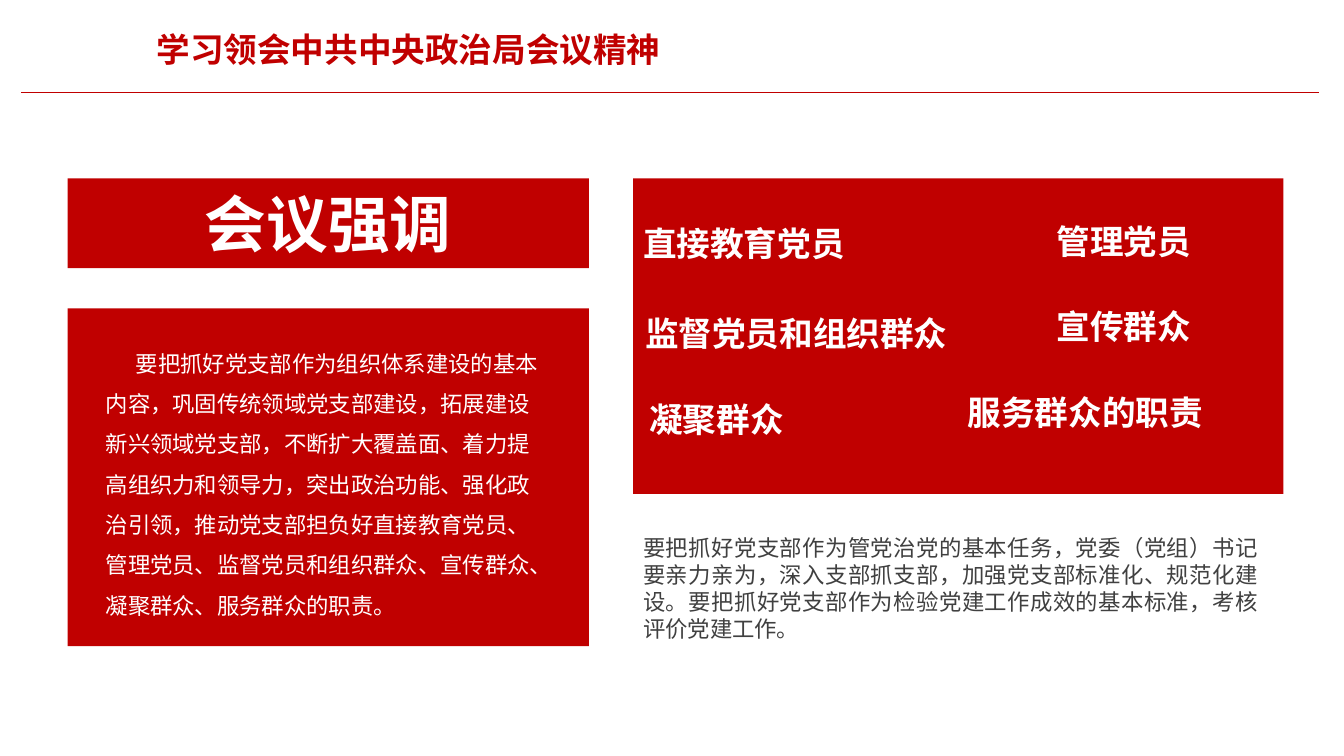
from lxml import etree
from pptx import Presentation
from pptx.dml.color import RGBColor
from pptx.enum import shapes, text
from pptx.oxml import ns
from pptx.util import Inches, Pt

RED = RGBColor(0xC0, 0x00, 0x00)
WHITE = RGBColor(0xFF, 0xFF, 0xFF)
GREY = RGBColor(0x40, 0x40, 0x40)
FONT = "Arial"
LABEL_HEIGHT = 0.5

EMPHASIS = (
    "要把抓好党支部作为组织体系建设的基本内容，巩固传统领域党支部建设，"
    "拓展建设新兴领域党支部，不断扩大覆盖面、着力提高组织力和领导力，"
    "突出政治功能、强化政治引领，推动党支部担负好直接教育党员、管理党员、"
    "监督党员和组织群众、宣传群众、凝聚群众、服务群众的职责。"
)
TASK = (
    "要把抓好党支部作为管党治党的基本任务，党委（党组）书记要亲力亲为，"
    "深入支部抓支部，加强党支部标准化、规范化建设。要把抓好党支部作为"
    "检验党建工作成效的基本标准，考核评价党建工作。"
)
# Wording, offset from the panel's left and top, width
DUTIES = [
    ("直接教育党员", 0, 0.39, 2.22),
    ("监督党员和组织群众", 0.02, 1.29, 3.23),
    ("凝聚群众", 0.06, 2.14, 1.55),
    ("管理党员", 4.1, 0.37, 1.55),
    ("宣传群众", 4.1, 1.22, 1.55),
    ("服务群众的职责", 3.22, 2.07, 2.56),
]


def write(frame, wording, size, color, bold=False, align=text.PP_ALIGN.LEFT):
    paragraph = frame.paragraphs[0]
    paragraph.alignment = align
    run = paragraph.add_run()
    run.text = wording
    run.font.name = FONT
    run.font.size = Pt(size)
    run.font.bold = bold
    run.font.color.rgb = color
    return paragraph


def add_text(slide, box, wording, size, color, wrap=True, **style):
    frame = slide.shapes.add_textbox(*map(Inches, box)).text_frame
    frame.word_wrap = wrap
    frame.auto_size = text.MSO_AUTO_SIZE.SHAPE_TO_FIT_TEXT
    return write(frame, wording, size, color, **style)


def add_panel(slide, box):
    panel = slide.shapes.add_shape(
        shapes.MSO_SHAPE.RECTANGLE, *map(Inches, box))
    panel.shadow.inherit = False
    panel.fill.solid()
    panel.fill.fore_color.rgb = RED
    panel.line.fill.background()
    return panel


def add_header(slide, left, top, width, height):
    """Place the slide title above a thin rule along the bottom of the box."""
    bottom = Inches(top + height)
    rule = slide.shapes.add_connector(
        shapes.MSO_CONNECTOR.STRAIGHT,
        Inches(left), bottom, Inches(left + width), bottom)
    rule.line.color.rgb = RED
    rule.line.width = Pt(0.5)
    etree.SubElement(rule._element.spPr, ns.qn("a:effectLst"))
    add_text(slide, (left + 1.19, top, 5.25, LABEL_HEIGHT),
             "学习领会中共中央政治局会议精神", 24, RED, wrap=False,
             bold=True, align=text.PP_ALIGN.RIGHT)


def add_emphasis(slide, left, top, width, height):
    """Place the heading banner and the panel of body text below it."""
    banner_height, gap = 0.89, 0.4
    frame = add_panel(slide, (left, top, width, banner_height)).text_frame
    frame.word_wrap = False
    frame.vertical_anchor = text.MSO_ANCHOR.MIDDLE
    frame.margin_left = frame.margin_right = Inches(0.05)
    frame.margin_top = frame.margin_bottom = Inches(0.03)
    write(frame, "会议强调", 44, WHITE, bold=True,
          align=text.PP_ALIGN.CENTER)

    body_top = top + banner_height + gap
    body_height = height - banner_height - gap
    add_panel(slide, (left, body_top, width, body_height))
    body = add_text(
        slide, (left + 0.28, body_top + 0.23, width - 0.55, body_height - 0.47),
        EMPHASIS, 16, WHITE)
    body.line_spacing = 1.5
    body._p.get_or_add_pPr().set("indent", str(Inches(0.3)))


def add_duties(slide, left, top, width, height):
    """Place the panel of duties and the paragraph on the task below it."""
    panel_height, task_height = 3.13, 1.18
    add_panel(slide, (left, top, width, panel_height))
    for duty, across, down, label_width in DUTIES:
        add_text(slide, (left + across, top + down, label_width, LABEL_HEIGHT),
                 duty, 24, WHITE, wrap=False, bold=True)
    add_text(slide, (left, top + height - task_height, 6.3, task_height),
             TASK, 16, GREY, align=text.PP_ALIGN.JUSTIFY)


def main():
    deck = Presentation()
    deck.slide_width, deck.slide_height = Inches(13.33), Inches(7.5)
    slide = deck.slides.add_slide(deck.slide_layouts[6])
    add_header(slide, 0.21, 0.24, 12.87, 0.68)
    add_emphasis(slide, 0.67, 1.77, 5.17, 4.64)
    add_duties(slide, 6.28, 1.77, 6.45, 4.66)
    deck.save("out.pptx")


if __name__ == "__main__":
    main()
